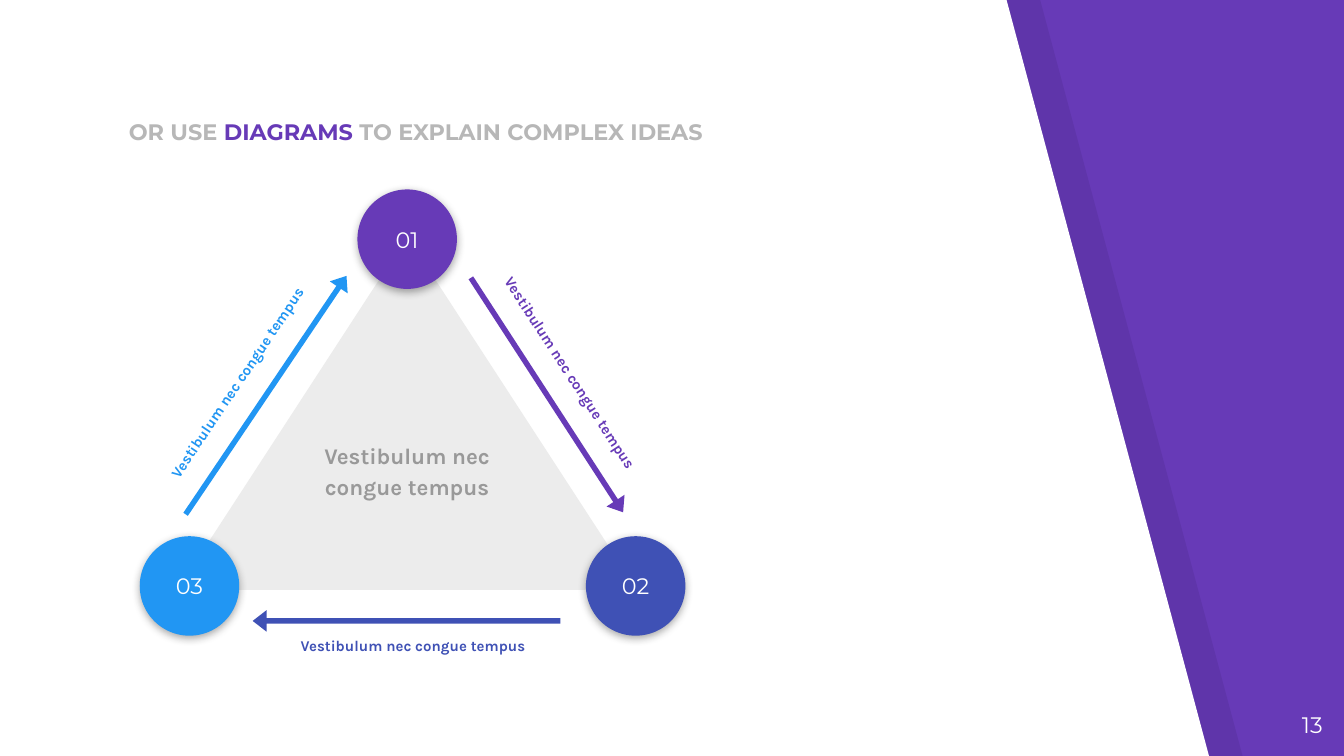
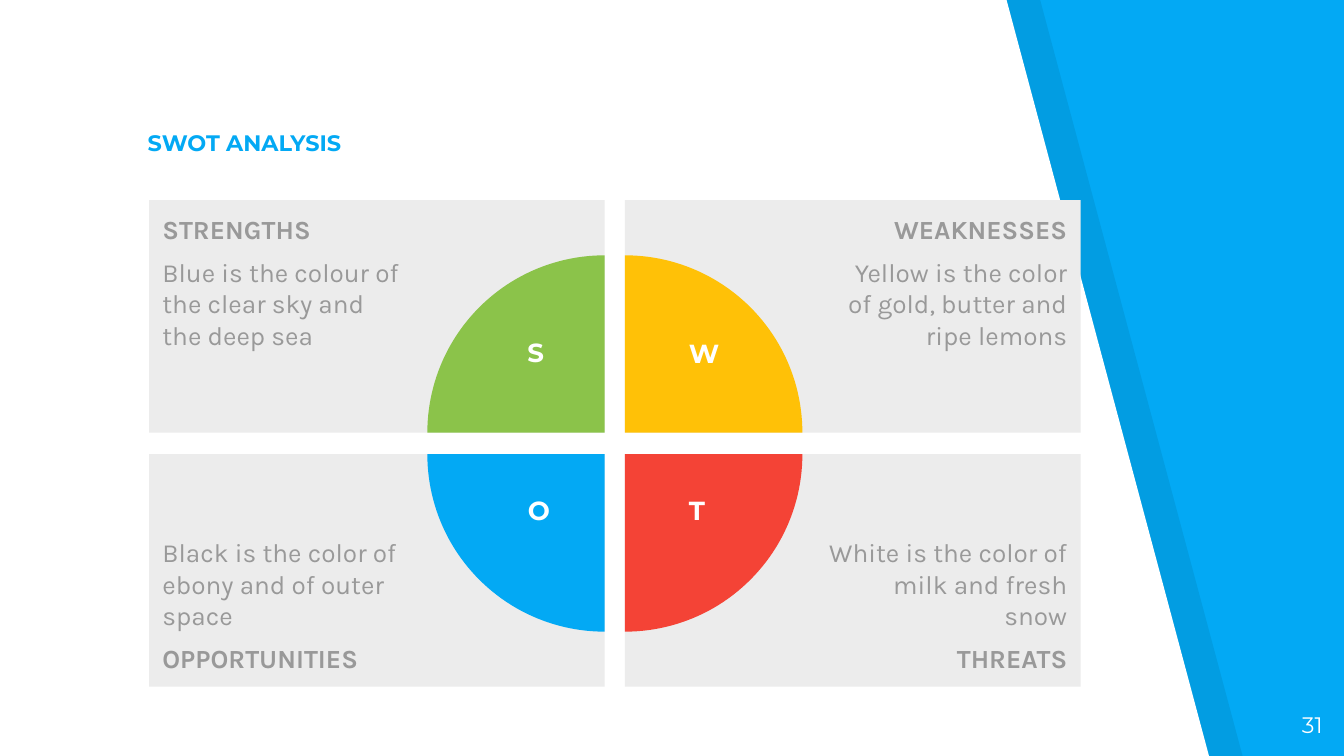
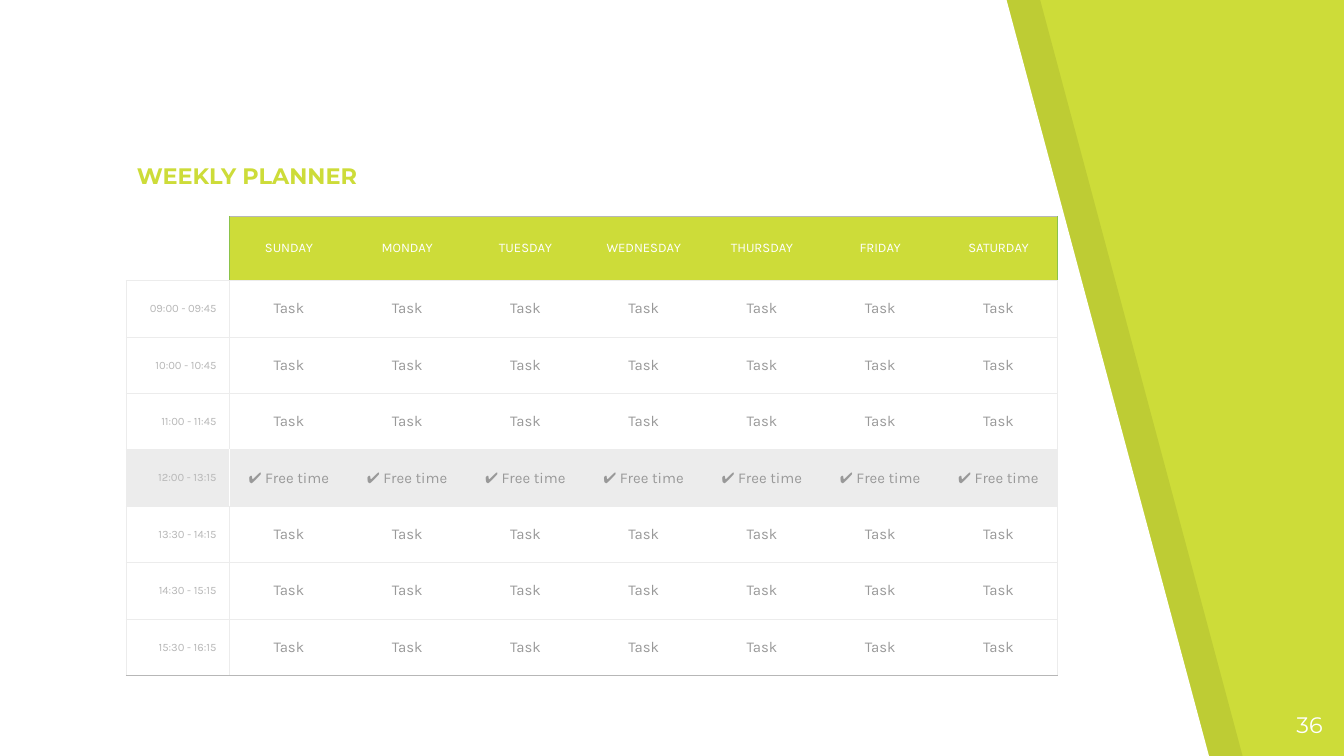
from typing import NamedTuple, Optional

from lxml.etree import SubElement
from pptx import Presentation
from pptx.dml.color import RGBColor
from pptx.enum.shapes import MSO_SHAPE as Preset
from pptx.enum.text import MSO_ANCHOR as Anchor, PP_ALIGN as Align
from pptx.oxml.ns import qn
from pptx.shapes.autoshape import Shape
from pptx.slide import Slide
from pptx.table import _Cell as Cell
from pptx.text.text import TextFrame
from pptx.util import Inches, Pt

WHITE = RGBColor(0xFF, 0xFF, 0xFF)
BLACK = RGBColor(0x00, 0x00, 0x00)
SHADOW = RGBColor(0x21, 0x21, 0x21)
PALE = RGBColor(0xEC, 0xEC, 0xEC)
SILVER = RGBColor(0xB7, 0xB7, 0xB7)
GREY = RGBColor(0x99, 0x99, 0x99)
PURPLE = RGBColor(0x67, 0x3A, 0xB7)
INDIGO = RGBColor(0x3F, 0x51, 0xB5)
BLUE = RGBColor(0x21, 0x96, 0xF3)
SKY = RGBColor(0x03, 0xA9, 0xF4)
GREEN = RGBColor(0x8B, 0xC3, 0x4A)
AMBER = RGBColor(0xFF, 0xC1, 0x07)
RED = RGBColor(0xF4, 0x43, 0x36)
LIME = RGBColor(0xCD, 0xDC, 0x39)

HEADING_FONT = "Montserrat"
BODY_FONT = "Karla"
PHRASE = "Vestibulum nec congue tempus"
INSET = 0.1


class Box(NamedTuple):
    """Left, top, width and height in inches."""
    left: float
    top: float
    width: float
    height: float


class Style(NamedTuple):
    """Look of a piece of text."""
    font: str
    size: float
    color: RGBColor
    bold: bool = False


class Step(NamedTuple):
    """Numbered circle of the cycle with its arrow and label."""
    number: str
    color: RGBColor
    circle: tuple[float, float]
    arrow: Box
    arrow_angle: float
    label: Box
    label_angle: float


class Quadrant(NamedTuple):
    """One field of the SWOT matrix."""
    letter: str
    heading: str
    body: str
    color: RGBColor
    column: int
    row: int
    angle: int
    letter_box: Box


STEPS = [
    Step("02", INDIGO, (4.36, 3.99), Box(1.88, 4.54, 2.29, 0.16), 180,
         Box(1.98, 4.64, 2.19, 0.38), 0),
    Step("03", BLUE, (1.04, 3.99), Box(0.91, 2.86, 2.14, 0.16), 304,
         Box(0.69, 2.67, 2.19, 0.38), 303.9),
    Step("01", PURPLE, (2.66, 1.41), Box(3.03, 2.86, 2.08, 0.16), 57,
         Box(3.12, 2.6, 2.2, 0.38), 57),
]

QUADRANTS = [
    Quadrant("S", "STRENGTHS", "Blue is the colour of the clear sky and the deep sea",
             GREEN, 0, 0, 0, Box(3.79, 2.45, 0.39, 0.49)),
    Quadrant("W", "WEAKNESSES", "Yellow is the color of gold, butter and ripe lemons",
             AMBER, 1, 0, 90, Box(4.86, 2.46, 0.76, 0.47)),
    Quadrant("O", "OPPORTUNITIES", "Black is the color of ebony and of outer space",
             SKY, 0, 1, 270, Box(3.75, 3.63, 0.52, 0.49)),
    Quadrant("T", "THREATS", "White is the color of milk and fresh snow",
             RED, 1, 1, 180, Box(4.98, 3.63, 0.41, 0.47)),
]

DAYS = ["SUNDAY", "MONDAY", "TUESDAY", "WEDNESDAY", "THURSDAY", "FRIDAY", "SATURDAY"]
TIMES = ["09:00 - 09:45", "10:00 - 10:45", "11:00 - 11:45", "12:00 - 13:15",
         "13:30 - 14:15", "14:30 - 15:15", "15:30 - 16:15"]
BREAK_TIME = "12:00 - 13:15"


def format_runs(runs, style: Style) -> None:
    """Give runs the font, size, colour and weight of a style."""
    for run in runs:
        run.font.name = style.font
        run.font.size = Pt(style.size)
        run.font.color.rgb = style.color
        run.font.bold = style.bold


def write(frame: TextFrame, text: str, style: Style, align=Align.LEFT) -> None:
    """Fill a text frame with evenly styled paragraphs."""
    frame.text = text
    for paragraph in frame.paragraphs:
        paragraph.alignment = align
        format_runs(paragraph.runs, style)


def set_insets(holder, left=INSET, top=INSET, right=INSET, bottom=INSET) -> None:
    """Set the margins of a text frame or a cell."""
    holder.margin_left, holder.margin_top = Inches(left), Inches(top)
    holder.margin_right, holder.margin_bottom = Inches(right), Inches(bottom)


def add_text(shapes, box: Box, text: str, style: Style, align=Align.LEFT,
             spacing: Optional[float] = None, inset: float = INSET) -> Shape:
    """Add a wrapping text box."""
    text_box = shapes.add_textbox(*map(Inches, box))
    frame = text_box.text_frame
    frame.word_wrap = True
    set_insets(frame, top=inset, bottom=inset)
    write(frame, text, style, align)
    if spacing:
        frame.paragraphs[0].line_spacing = spacing
    return text_box


def paint(shape: Shape, color: RGBColor) -> None:
    """Give a shape a flat fill without outline or shadow."""
    shape.fill.solid()
    shape.fill.fore_color.rgb = color
    shape.line.fill.background()
    shape.shadow.inherit = False


def add_flat(shapes, preset: Preset, box: Box, color: RGBColor,
             angle: float = 0, adjustments: tuple = ()) -> Shape:
    """Add a flat preset shape."""
    shape = shapes.add_shape(preset, *map(Inches, box))
    paint(shape, color)
    shape.rotation = angle
    for index, value in enumerate(adjustments):
        shape.adjustments[index] = value
    return shape


def add_panel(slide: Slide, offset: float, color: RGBColor) -> Shape:
    """Add the slanted panel that covers the left of a slide."""
    corners = [(0, -0.01), (0, 5.64), (9, 5.64), (7.49, 0)]
    points = [(Inches(x + offset), Inches(y)) for x, y in corners]
    builder = slide.shapes.build_freeform(*points[0])
    builder.add_line_segments(points[1:], close=True)
    panel = builder.convert_to_shape()
    paint(panel, color)
    return panel


def add_base(deck, accent: RGBColor, number: str, title_at: tuple[float, float],
             title: list[tuple[str, RGBColor]]) -> Slide:
    """Add a slide with its accent background, panels, title and number."""
    slide = deck.slides.add_slide(deck.slide_layouts[6])
    slide.background.fill.solid()
    slide.background.fill.fore_color.rgb = accent
    shade = add_panel(slide, 0.25, BLACK)
    color = shade.fill._xPr.find(qn("a:solidFill"))[0]
    SubElement(color, qn("a:alpha"), val="7000")
    add_panel(slide, 0, WHITE)

    heading = add_text(slide.shapes, Box(*title_at, 5.25, 0.45), "",
                       Style(HEADING_FONT, 12, accent))
    heading.text_frame.vertical_anchor = Anchor.BOTTOM
    for text, part_color in title:
        run = heading.text_frame.paragraphs[0].add_run()
        run.text = text
        format_runs([run], Style(HEADING_FONT, 12, part_color, True))
    add_text(slide.shapes, Box(9.34, 5.19, 0.6, 0.43), number,
             Style(HEADING_FONT, 12, WHITE), Align.RIGHT)
    return slide


def add_soft_shadow(shape: Shape) -> None:
    """Drop a soft shadow straight below a shape."""
    effects = shape._element.spPr.find(qn("a:effectLst"))
    shadow = SubElement(effects, qn("a:outerShdw"), blurRad=str(Pt(4.5)),
                        dist=str(Pt(1.5)), dir="5400000", algn="bl", rotWithShape="0")
    color = SubElement(shadow, qn("a:srgbClr"), val=str(SHADOW))
    SubElement(color, qn("a:alpha"), val="38000")


def add_step(slide: Slide, step: Step) -> None:
    """Add one step of the cycle as a group."""
    shapes = slide.shapes.add_group_shape().shapes
    add_flat(shapes, Preset.RIGHT_ARROW, step.arrow, step.color,
             step.arrow_angle, (0.255, 0.643))
    label = add_text(shapes, step.label, PHRASE, Style(BODY_FONT, 8, step.color, True),
                     Align.CENTER, 1.15, inset=0.12)
    label.rotation = step.label_angle
    circle = add_flat(shapes, Preset.OVAL, Box(*step.circle, 0.74, 0.74), step.color)
    add_soft_shadow(circle)
    set_insets(circle.text_frame)
    circle.text_frame.vertical_anchor = Anchor.MIDDLE
    write(circle.text_frame, step.number, Style(HEADING_FONT, 12, WHITE), Align.CENTER)


def build_diagram(deck) -> None:
    """Build the triangular cycle slide."""
    slide = add_base(deck, PURPLE, "13", (0.86, 0.73),
                     [("OR USE ", SILVER), ("DIAGRAMS", PURPLE),
                      (" TO EXPLAIN COMPLEX IDEAS", SILVER)])
    add_flat(slide.shapes, Preset.ISOSCELES_TRIANGLE, Box(1.32, 1.76, 3.42, 2.63), PALE)
    add_text(slide.shapes, Box(2.08, 3.16, 1.9, 1.06), PHRASE,
             Style(BODY_FONT, 12, GREY, True), Align.CENTER, 1.15)
    for step in STEPS:
        add_step(slide, step)


def add_field(slide: Slide, quadrant: Quadrant) -> None:
    """Add the grey field of a quadrant with heading and body."""
    box = Box(1.11 + 3.54 * quadrant.column, 1.49 + 1.89 * quadrant.row, 3.39, 1.73)
    frame = add_flat(slide.shapes, Preset.RECTANGLE, box, PALE).text_frame
    frame.word_wrap = True
    on_right, on_bottom = quadrant.column == 1, quadrant.row == 1
    set_insets(frame, left=1.5 if on_right else INSET, right=INSET if on_right else 1.5)
    frame.vertical_anchor = Anchor.BOTTOM if on_bottom else Anchor.TOP
    lines = [quadrant.heading, quadrant.body]
    if on_bottom:
        lines.reverse()
    write(frame, "\n".join(lines), Style(BODY_FONT, 14, GREY),
          Align.RIGHT if on_right else Align.LEFT)
    frame.paragraphs[lines.index(quadrant.heading)].runs[0].font.bold = True
    frame.paragraphs[1].space_before = frame.paragraphs[1].space_after = Pt(6)


def build_swot(deck) -> None:
    """Build the SWOT slide."""
    slide = add_base(deck, SKY, "31", (1, 0.81), [("SWOT ANALYSIS", SKY)])
    for quadrant in QUADRANTS:
        add_field(slide, quadrant)
    for quadrant in QUADRANTS:
        box = Box(3.18 + 0.15 * quadrant.column, 1.9 + 0.16 * quadrant.row, 2.64, 2.64)
        add_flat(slide.shapes, Preset.PIE, box, quadrant.color, quadrant.angle, (108, 162))
    for quadrant in QUADRANTS:
        add_text(slide.shapes, quadrant.letter_box, quadrant.letter,
                 Style(HEADING_FONT, 14, WHITE, True), Align.CENTER, inset=0.05)


def style_cell(cell: Cell, fill: Optional[RGBColor],
               borders: dict[str, Optional[RGBColor]]) -> None:
    """Set the insets, borders and fill of a cell."""
    set_insets(cell)
    cell.vertical_anchor = Anchor.MIDDLE
    properties = cell._tc.get_or_add_tcPr()
    for side in "LRTB":
        color = borders.get(side)
        line = SubElement(properties, qn(f"a:ln{side}"), w=str(Pt(0.75)))
        if color is None:
            SubElement(line, qn("a:noFill"))
        else:
            SubElement(SubElement(line, qn("a:solidFill")), qn("a:srgbClr"), val=str(color))
    if fill is None:
        cell.fill.background()
    else:
        cell.fill.solid()
        cell.fill.fore_color.rgb = fill


def build_planner(deck) -> None:
    """Build the weekly planner slide."""
    slide = add_base(deck, LIME, "36", (0.92, 1.06), [("WEEKLY PLANNER", LIME)])
    widths = [0.77] + [0.88] * len(DAYS)
    heights = [0.33] + [0.42] * len(TIMES)
    box = Box(0.94, 1.61, sum(widths), sum(heights))
    table = slide.shapes.add_table(len(heights), len(widths), *map(Inches, box)).table
    table.first_row = table.horz_banding = False
    for column, width in zip(table.columns, widths):
        column.width = Inches(width)
    for row, height in zip(table.rows, heights):
        row.height = Inches(height)

    last = len(DAYS)
    corner = table.cell(0, 0)
    style_cell(corner, None, {"R": GREEN, "B": PALE})
    set_insets(corner, top=0.09, bottom=0.09)
    for column, day in enumerate(DAYS, 1):
        cell = table.cell(0, column)
        style_cell(cell, LIME, {"L": GREEN if column == 1 else None,
                                "R": GREEN if column == last else None,
                                "T": SILVER, "B": PALE})
        write(cell.text_frame, day, Style(BODY_FONT, 7, WHITE), Align.CENTER)

    for row, time in enumerate(TIMES, 1):
        is_break = time == BREAK_TIME
        fill = PALE if is_break else None
        divider = WHITE if is_break else PALE
        edges = {"T": PALE, "B": SILVER if row == len(TIMES) else PALE}
        time_cell = table.cell(row, 0)
        style_cell(time_cell, fill, {"L": PALE, "R": divider, **edges})
        write(time_cell.text_frame, time, Style(BODY_FONT, 6, SILVER), Align.RIGHT)
        for column in range(1, last + 1):
            cell = table.cell(row, column)
            style_cell(cell, fill, {"L": divider if column == 1 else None,
                                    "R": PALE if column == last else None, **edges})
            write(cell.text_frame, "✔ Free time" if is_break else "Task",
                  Style(BODY_FONT, 8, GREY), Align.CENTER)


def main() -> None:
    """Build and save the deck."""
    deck = Presentation()
    deck.slide_width = Inches(10)
    deck.slide_height = deck.slide_width * 9 // 16
    build_diagram(deck)
    build_swot(deck)
    build_planner(deck)
    deck.save("out.pptx")


if __name__ == "__main__":
    main()
